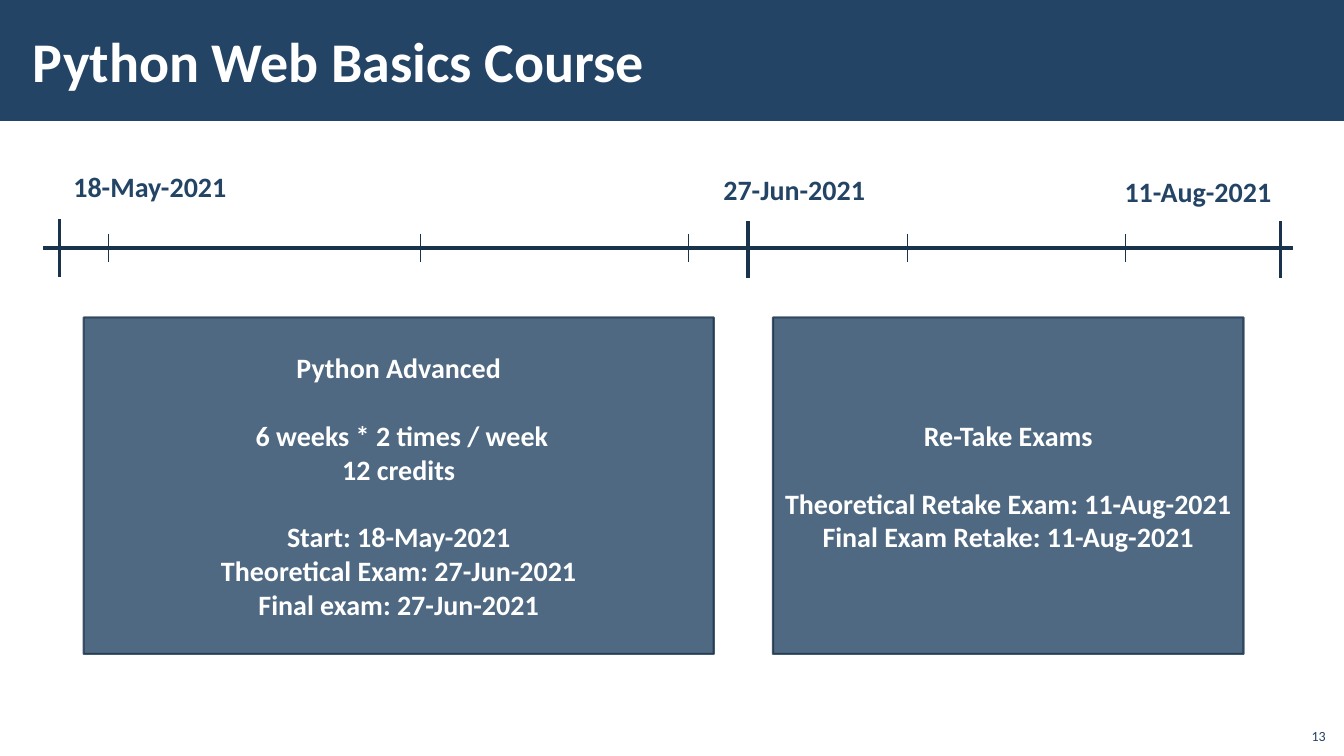
from dataclasses import dataclass

from lxml.etree import SubElement
from pptx import Presentation
from pptx.dml.color import RGBColor as Rgb
from pptx.enum.shapes import MSO_CONNECTOR as Link, MSO_SHAPE as Form
from pptx.enum.text import MSO_ANCHOR as Anchor, PP_ALIGN as Align
from pptx.oxml.ns import qn
from pptx.util import Cm, Pt


@dataclass(frozen=True)
class Theme:
    font: str = "Calibri"
    navy: Rgb = Rgb(0x23, 0x44, 0x65)
    ink: Rgb = Rgb(0x1A, 0x33, 0x4C)
    white: Rgb = Rgb(0xFF, 0xFF, 0xFF)
    title: Pt = Pt(40)
    body: Pt = Pt(20)
    small: Pt = Pt(10)
    gap: Pt = Pt(24.4)
    thick: Pt = Pt(2.25)
    edge: Pt = Pt(1.5)
    thin: Pt = Pt(0.5)
    alpha: int = 80


def apply(item, style):
    for name, value in style.items():
        setattr(item, name, value)


def fade(fill, alpha):
    color = fill._xPr.find(qn("a:solidFill"))[0]
    SubElement(color, qn("a:alpha")).set("val", str(alpha * 1000))


class Board:
    def __init__(self, slide, theme):
        self.shapes = slide.shapes
        self.theme = theme

    def letter(self, frame, groups, size, color, align=Align.LEFT, bold=True):
        first = True
        for index, group in enumerate(groups):
            for row, line in enumerate(group):
                para = frame.paragraphs[0] if first else frame.add_paragraph()
                first = False
                para.alignment = align
                if index and row == 0:
                    para.space_before = self.theme.gap
                run = para.add_run()
                run.text = line
                apply(run.font, {"name": self.theme.font, "size": size, "bold": bold})
                run.font.color.rgb = color

    def text(self, words, area, size, color, wrap=True, anchor=Anchor.TOP, **style):
        frame = self.shapes.add_textbox(*map(Cm, area)).text_frame
        apply(frame, {"word_wrap": wrap, "vertical_anchor": anchor})
        self.letter(frame, [[words]], size, color, **style)
        return frame

    def rect(self, area):
        shape = self.shapes.add_shape(Form.RECTANGLE, *map(Cm, area))
        shape.shadow.inherit = False
        shape.fill.solid()
        shape.fill.fore_color.rgb = self.theme.navy
        return shape

    def bar(self, area):
        self.rect(area).line.fill.background()

    def panel(self, area, groups):
        theme = self.theme
        shape = self.rect(area)
        shape.line.color.rgb = theme.ink
        shape.line.width = theme.edge
        fade(shape.fill, theme.alpha)
        fade(shape.line.fill, theme.alpha)
        frame = shape.text_frame
        apply(frame, {"word_wrap": True, "vertical_anchor": Anchor.MIDDLE})
        self.letter(frame, groups, theme.body, theme.white, Align.CENTER)

    def line(self, start, end, width):
        link = self.shapes.add_connector(Link.STRAIGHT, *map(Cm, start + end))
        link.line.color.rgb = self.theme.ink
        link.line.width = width
        SubElement(link._element.spPr, qn("a:effectLst"))

    def tick(self, x, y, half, width):
        self.line((x, y - half), (x, y + half), width)


def main():
    deck = Presentation()
    apply(deck, {"slide_width": Cm(33.87), "slide_height": Cm(19.05)})
    theme = Theme()
    board = Board(deck.slides.add_slide(deck.slide_layouts[6]), theme)

    board.bar((0, 0, 33.87, 3.05))
    board.text("13", (32.64, 18.08, 1.02, 0.81), theme.small, theme.navy,
               anchor=Anchor.BOTTOM, align=Align.RIGHT, bold=False)
    title = board.text("Python Web Basics Course", (0.53, 0.28, 27, 2.46),
                       theme.title, theme.white, anchor=Anchor.MIDDLE)
    apply(title, {"margin_left": Cm(0.3), "margin_right": Cm(0.3),
                  "margin_top": Cm(0.1), "margin_bottom": Cm(0.1)})

    axis = 6.25
    board.line((1.09, axis), (32.59, axis), theme.thick)
    for x, y in ((1.5, axis), (18.85, 6.29), (32.28, 6.29)):
        board.tick(x, y, 0.72, theme.thick)
    for x in (2.74, 10.59, 17.35, 22.86, 28.37):
        board.tick(x, axis, 0.36, theme.thin)

    dates = (
        ("18-May-2021", 1.6, 4.14, 4.42),
        ("27-Jun-2021", 17.98, 4.22, 4.11),
        ("11-Aug-2021", 28.09, 4.27, 4.27),
    )
    for words, x, y, width in dates:
        board.text(words, (x, y, width, 1.12), theme.body, theme.navy, wrap=False)

    panels = (
        (2.11, 15.88, (
            ("Python Advanced",),
            (" 6 weeks * 2 times / week", "12 credits"),
            ("Start: 18-May-2021", "Theoretical Exam: 27-Jun-2021",
             "Final exam: 27-Jun-2021"),
        )),
        (19.48, 11.86, (
            ("Re-Take Exams",),
            ("Theoretical Retake Exam: 11-Aug-2021",
             "Final Exam Retake: 11-Aug-2021"),
        )),
    )
    for x, width, groups in panels:
        board.panel((x, 8, width, 8.48), groups)

    deck.save("out.pptx")


if __name__ == "__main__":
    main()
